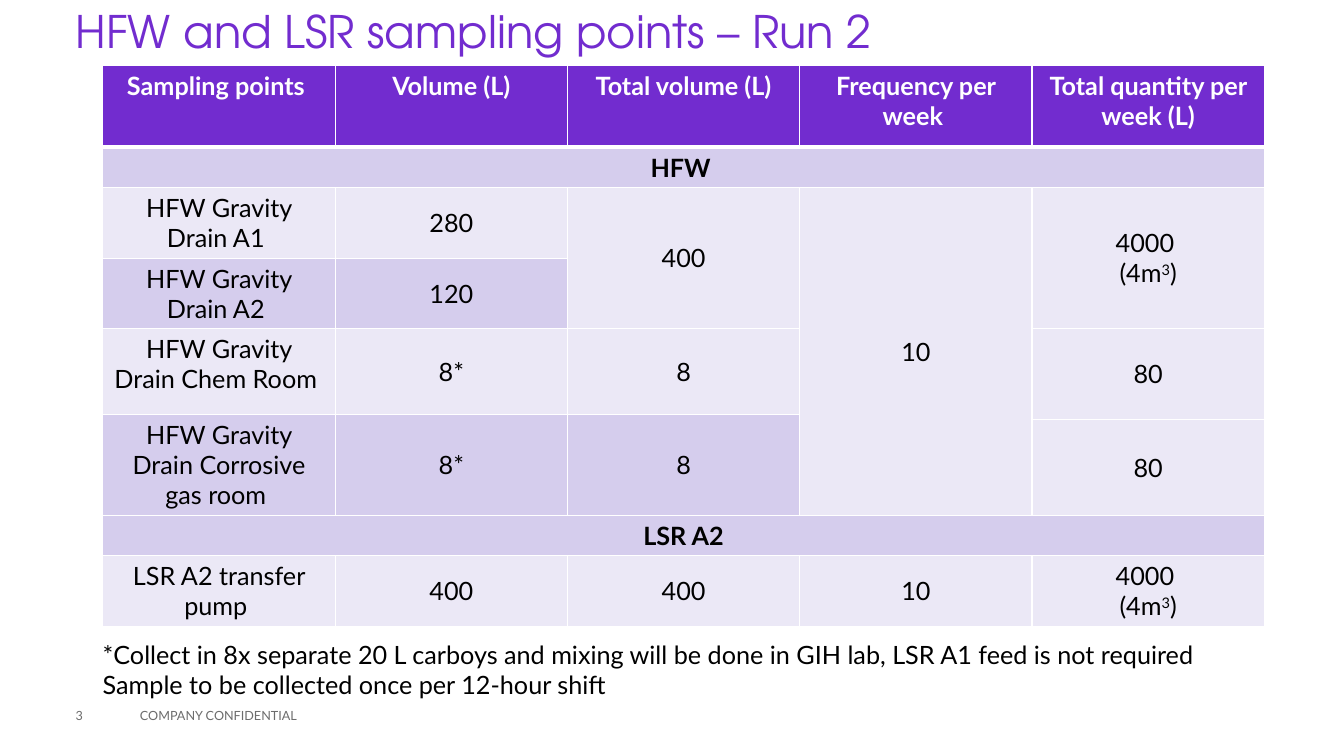
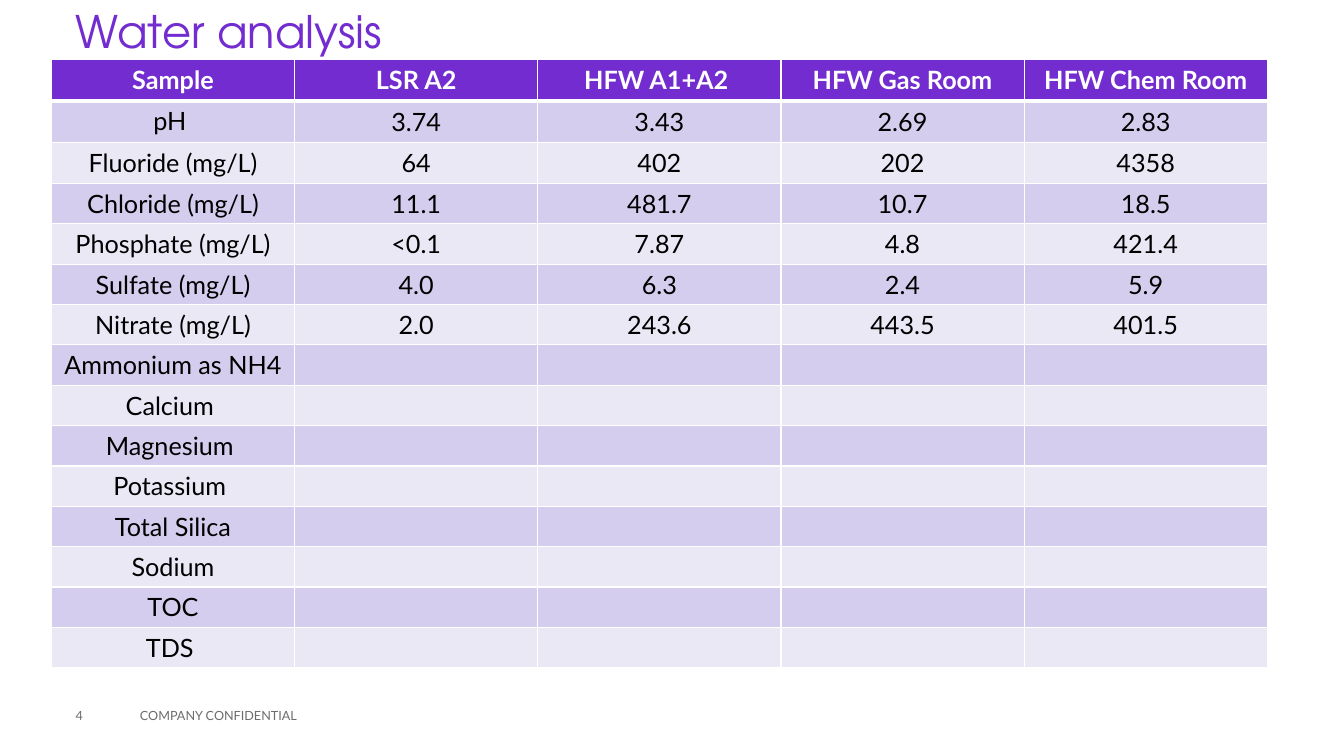
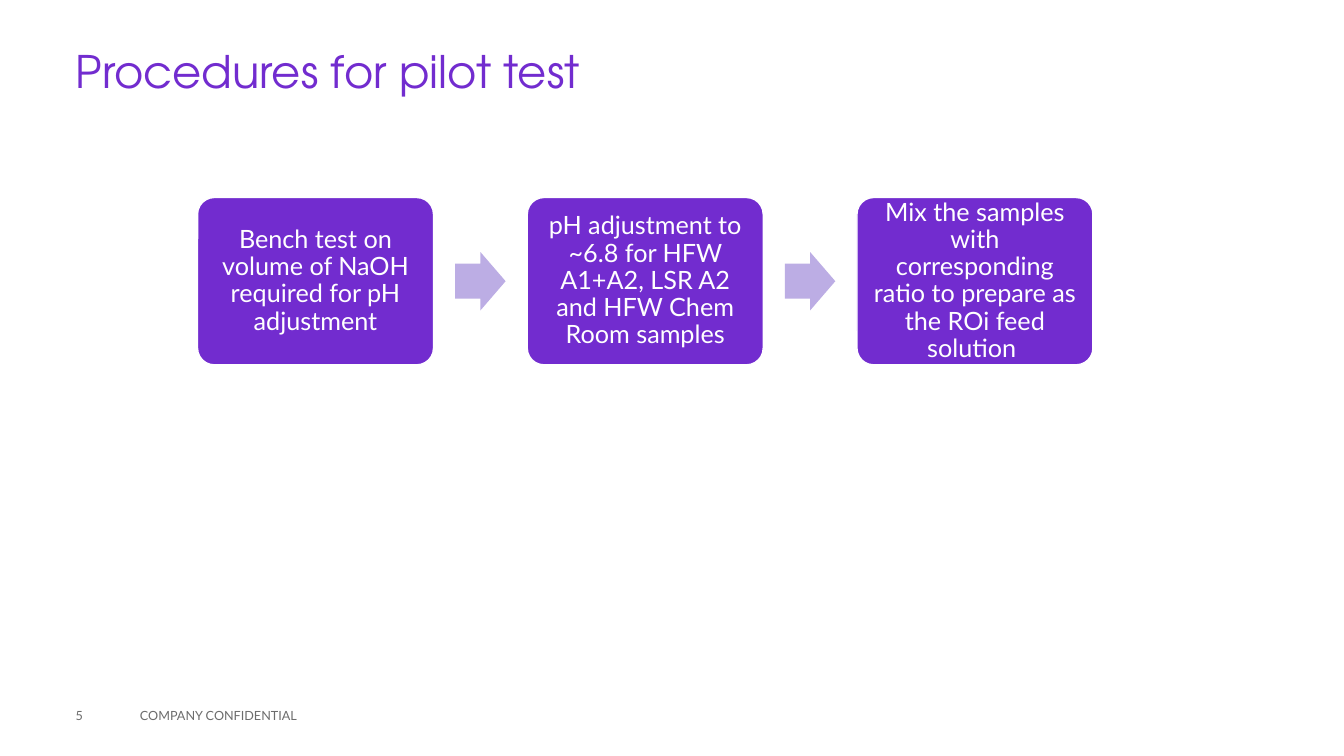
from lxml.etree import SubElement
from pptx import Presentation
from pptx.dml.color import RGBColor
from pptx.enum.shapes import MSO_SHAPE as Shape
from pptx.enum.text import MSO_ANCHOR as Anchor, PP_ALIGN as Align
from pptx.oxml.ns import qn
from pptx.util import Inches, Pt

PURPLE = RGBColor(0x72, 0x2C, 0xCF)
ARROW_LILAC = RGBColor(0xBC, 0xAD, 0xE4)
BAND_DARK = RGBColor(0xD5, 0xCD, 0xED)
BAND_LIGHT = RGBColor(0xEB, 0xE8, 0xF6)
GREY = RGBColor(0x6C, 0x6C, 0x6C)
WHITE = RGBColor(0xFF, 0xFF, 0xFF)
BLACK = RGBColor(0, 0, 0)

TITLE_FONT = "TeX Gyre Adventor"
BODY_FONT = "Lato"
SLIDE_WIDTH, SLIDE_HEIGHT = 13.33, 7.5
MARGIN = 0.75
FOOTER_TOP, FOOTER_HEIGHT = 0.92 * SLIDE_HEIGHT, 0.4

SAMPLING_ROWS = [
    ["Sampling points ", "Volume (L)", "Total volume (L)", "Frequency per week ",
     "Total quantity per week (L)"],
    ["HFW "],
    ["HFW Gravity Drain A1 ", "280", "400", "10", "4000 \n(4m^3^)"],
    ["HFW Gravity Drain A2 ", "120"],
    ["HFW Gravity Drain Chem Room ", "8*", "8", "", "80"],
    ["HFW Gravity Drain Corrosive gas room ", "8*", "8"],
    ["", "", "", "", "80"],
    ["LSR A2"],
    ["LSR A2 transfer pump ", "400", "400", "10", "4000 \n(4m^3^)"],
]
SAMPLING_HEIGHTS = [0.81, 0.4, 0.7, 0.7, 0.85, 0.05, 0.95, 0.4, 0.7]
# (row, column): (rows spanned, columns spanned)
SAMPLING_SPANS = {
    (1, 0): (1, 5), (2, 2): (2, 1), (2, 3): (5, 1), (2, 4): (2, 1), (4, 4): (2, 1),
    (5, 0): (2, 1), (5, 1): (2, 1), (5, 2): (2, 1), (7, 0): (1, 5),
}

ANALYSIS_ROWS = [
    ["Sample", "LSR A2", "HFW A1+A2 ", "HFW Gas Room", "HFW Chem Room"],
    ["pH ", "3.74", "3.43", "2.69", "2.83"],
    ["Fluoride (mg/L)", "64", "402", "202", "4358"],
    ["Chloride (mg/L)", "11.1", "481.7", "10.7", "18.5"],
    ["Phosphate (mg/L)", "<0.1", "7.87", "4.8", "421.4"],
    ["Sulfate (mg/L)", "4.0", "6.3", "2.4", "5.9"],
    ["Nitrate (mg/L)", "2.0", "243.6", "443.5", "401.5"],
    ["Ammonium as NH4"], ["Calcium "], ["Magnesium "], ["Potassium "],
    ["Total Silica"], ["Sodium"], ["TOC"], ["TDS "],
]
ANALYSIS_HEIGHTS = [0.41] * 3 + [0.4] * 12

STEPS = [
    "Bench test on volume of NaOH required for pH adjustment",
    "pH adjustment to ~6.8 for HFW A1+A2, LSR A2 and HFW Chem Room samples",
    "Mix the samples with corresponding ratio to prepare as the ROi feed solution ",
]


def write(frame, text, size=18, color=BLACK, font=BODY_FONT, bold=False,
          align=Align.LEFT, spacing=None):
    """Fill a text frame: one paragraph a line, superscripts between carets."""
    for index, line in enumerate(text.split("\n")):
        paragraph = frame.add_paragraph() if index else frame.paragraphs[0]
        paragraph.alignment = align
        if spacing:
            paragraph.line_spacing = spacing
        for part, piece in enumerate(line.split("^")):
            if not piece:
                continue
            run = paragraph.add_run()
            run.text = piece
            run.font.size = Pt(size)
            run.font.name = font
            run.font.bold = bold
            run.font.color.rgb = color
            if part % 2:
                run._r.get_or_add_rPr().set("baseline", "30000")


def add_text(slide, text, left, top, width, height, inset=0.1, anchor=Anchor.MIDDLE,
             **text_format):
    box = slide.shapes.add_textbox(Inches(left), Inches(top), Inches(width), Inches(height))
    frame = box.text_frame
    frame.word_wrap = True
    frame.margin_left = Inches(inset)
    frame.vertical_anchor = anchor
    write(frame, text, **text_format)


def add_page(presentation, title, number, title_top=0):
    """Add a blank slide with the shared title, footer and page number."""
    slide = presentation.slides.add_slide(presentation.slide_layouts[6])
    add_text(slide, title, MARGIN, title_top, 11.81, 0.67, inset=0,
             size=32, color=PURPLE, font=TITLE_FONT, spacing=0.9)
    add_text(slide, "COMPANY CONFIDENTIAL", 1.29, FOOTER_TOP, 4.5, FOOTER_HEIGHT,
             size=9, color=GREY)
    add_text(slide, str(number), MARGIN, FOOTER_TOP, 0.54, FOOTER_HEIGHT, inset=0,
             size=9, color=GREY)
    return slide


def set_borders(cell, bottom=1):
    properties = cell._tc.get_or_add_tcPr()
    for side, width in (("L", 1), ("R", 1), ("T", 1), ("B", bottom)):
        line = SubElement(properties, qn("a:ln" + side), w=str(Pt(width)))
        fill = SubElement(line, qn("a:solidFill"))
        SubElement(fill, qn("a:srgbClr"), val=str(WHITE))


def add_banded_table(slide, rows, heights, left, top, width, spans=None):
    spans = spans or {}
    columns = len(rows[0])
    table = slide.shapes.add_table(len(rows), columns, Inches(left), Inches(top),
                                   Inches(width), Inches(sum(heights))).table
    table.first_row = table.horz_banding = False
    for column in table.columns:
        column.width = Inches(width / columns)
    for row, (texts, height) in enumerate(zip(rows, heights)):
        table.rows[row].height = Inches(height)
        is_header = row == 0
        for column in range(columns):
            cell = table.cell(row, column)
            set_borders(cell, bottom=3 if is_header else 1)
            cell.fill.solid()
            cell.fill.fore_color.rgb = (PURPLE if is_header else
                                        BAND_DARK if row % 2 else BAND_LIGHT)
            if not is_header and column:
                cell.vertical_anchor = Anchor.MIDDLE
            if column < len(texts):
                is_section = spans.get((row, column), (1, 1))[1] > 1
                write(cell.text_frame, texts[column], align=Align.CENTER,
                      bold=is_header or is_section, color=WHITE if is_header else BLACK)
    for (row, column), (row_span, column_span) in spans.items():
        last = table.cell(row + row_span - 1, column + column_span - 1)
        table.cell(row, column).merge(last)


def add_solid(slide, kind, left, top, width, height, color, adjustments):
    shape = slide.shapes.add_shape(kind, Inches(left), Inches(top),
                                   Inches(width), Inches(height))
    shape.shadow.inherit = False
    shape.fill.solid()
    shape.fill.fore_color.rgb = color
    shape.line.fill.background()
    for index, value in enumerate(adjustments):
        shape.adjustments[index] = value
    return shape


def add_process(slide, steps, left, top, width, height, pitch):
    """Draw equal boxes in a row with an arrow in each gap."""
    arrow_width, arrow_height = 0.5, 0.58
    arrow_offset = width + (pitch - width - arrow_width) / 2
    arrow_top = top + (height - arrow_height) / 2
    for index, step in enumerate(steps):
        box_left = left + index * pitch
        box = add_solid(slide, Shape.ROUNDED_RECTANGLE, box_left, top, width, height,
                        PURPLE, [0.1])
        box.line.color.rgb = WHITE
        box.line.width = Pt(1)
        frame = box.text_frame
        frame.word_wrap = True
        frame.vertical_anchor = Anchor.MIDDLE
        frame.margin_left = frame.margin_right = Inches(0.07)
        frame.margin_top = frame.margin_bottom = Inches(0.07)
        write(frame, step, color=WHITE, align=Align.CENTER, spacing=0.9)
        if index < len(steps) - 1:
            add_solid(slide, Shape.RIGHT_ARROW, box_left + arrow_offset, arrow_top,
                      arrow_width, arrow_height, ARROW_LILAC, [0.6, 0.5])


def main():
    presentation = Presentation()
    presentation.slide_width = Inches(SLIDE_WIDTH)
    presentation.slide_height = Inches(SLIDE_HEIGHT)

    sampling = add_page(presentation, "HFW and LSR sampling points – Run 2", 3)
    add_banded_table(sampling, SAMPLING_ROWS, SAMPLING_HEIGHTS, 1.02, 0.65, 11.52,
                     SAMPLING_SPANS)
    add_text(sampling,
             "*Collect in 8x separate 20 L carboys and mixing will be done in GIH lab, "
             "LSR A1 feed is not required\n"
             "Sample to be collected once per 12-hour shift",
             0.92, 6.29, 11.08, 0.71, anchor=Anchor.TOP)

    analysis = add_page(presentation, "Water analysis", 4)
    add_banded_table(analysis, ANALYSIS_ROWS, ANALYSIS_HEIGHTS, 0.51, 0.59, 12.06)

    procedures = add_page(presentation, "Procedures for pilot test", 5, title_top=0.4)
    add_process(procedures, STEPS, left=1.96, top=1.96, width=2.34, height=1.66, pitch=3.27)

    presentation.save("out.pptx")


if __name__ == "__main__":
    main()
